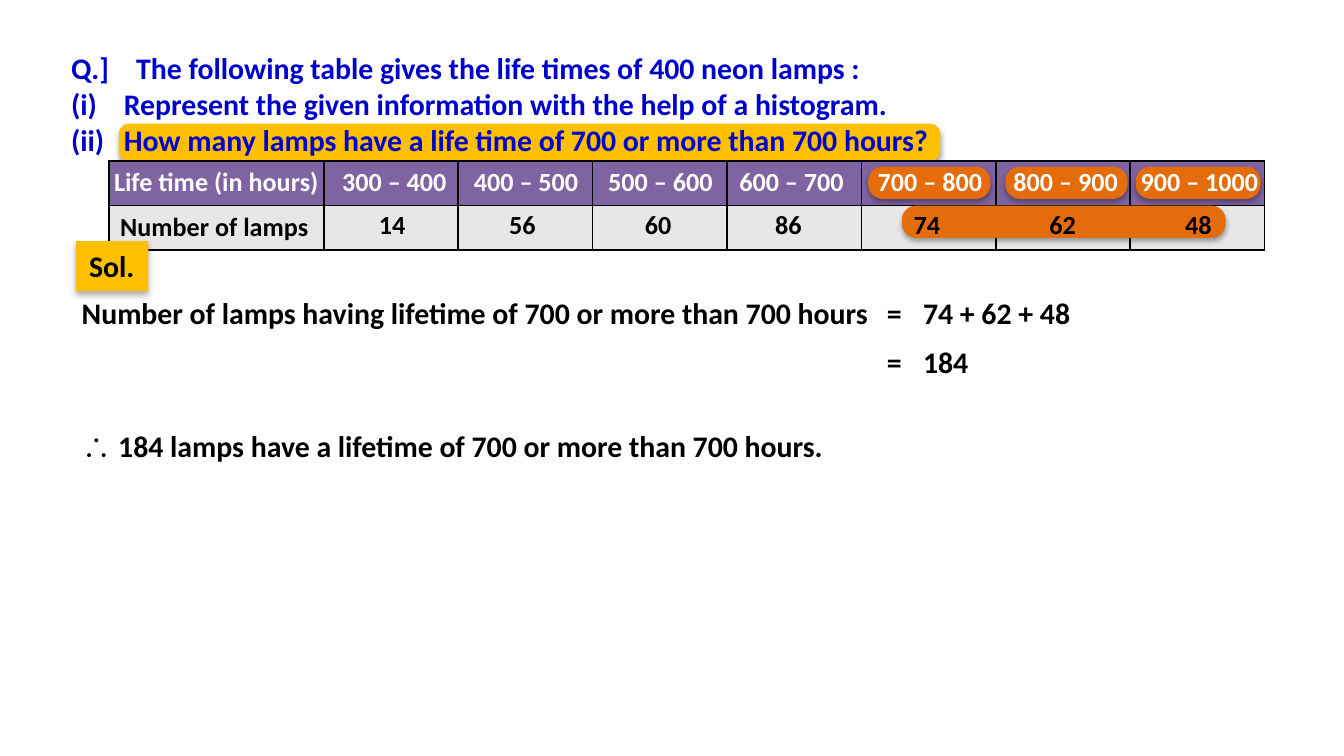
from lxml.etree import SubElement
from pptx import Presentation
from pptx.dml.color import RGBColor
from pptx.enum.shapes import MSO_SHAPE
from pptx.enum.text import MSO_AUTO_SIZE, PP_ALIGN
from pptx.oxml.ns import qn
from pptx.util import Inches, Pt

CELL = Inches(0.1)
WIDE, HIGH = 100, 56.25
BLACK, WHITE, BLUE = "000000", "FFFFFF", "0000CC"
GOLD, ORANGE, PURPLE, GREY = "FFC000", "E46C0A", "8064A2", "E7E7E7"

CLASSES = [
    ("300 – 400", 23.8, 11.1),
    ("400 – 500", 34.1, 10.1),
    ("500 – 600", 44.1, 10.1),
    ("600 – 700", 53.8, 10.2),
    ("700 – 800", 64, 10.4),
    ("800 – 900", 74.1, 10.4),
    ("900 – 1000", 83.5, 11.5),
]
COUNTS = [("14", 27.2), ("56", 36.9), ("60", 47), ("86", 56.7),
          ("74", 67), ("62", 77.1), ("48", 87.2)]
PILLS = [(64.6, 12.4, 9.1, 2.4), (74.8, 12.4, 9.1, 2.4),
         (84.5, 12.4, 9.3, 2.4), (67.1, 15.3, 24.1, 2.4)]
QUESTION = [
    ("Q.]\tThe following table gives the life times of 400 neon lamps :", 4.85),
    ("(i)\tRepresent the given information with the help of a histogram.", 3.93),
    ("(ii)\tHow many lamps have a life time of 700 or more than 700 hours?", 3.93),
]
STEPS = [
    ("Number of lamps having lifetime of 700 or more than 700 hours", 5.1, 21.4, 61.3),
    ("=", 65, 21.4, 3.3),
    ("74 + 62 + 48", 67.7, 21.4, 14.6),
    ("=", 65, 25.1, 3.3),
    ("184", 67.7, 25.1, 6),
]


def grid(*cells):
    """Turn grid cells into slide lengths."""
    return [round(n * CELL) for n in cells]


def paint(fill, tint):
    """Give a fill one solid colour from a hex string."""
    fill.solid()
    fill.fore_color.rgb = RGBColor.from_string(tint)


def style(run, size, tint, face="Calibri"):
    """Set the font of a run."""
    run.font.name, run.font.size, run.font.bold = face, Pt(size), True
    run.font.color.rgb = RGBColor.from_string(tint)


def label(slide, text, at, size=14, tint=BLACK, align=PP_ALIGN.LEFT):
    """Add a wrapped text box and return its frame."""
    frame = slide.shapes.add_textbox(*grid(*at)).text_frame
    frame.word_wrap = True
    frame.auto_size = MSO_AUTO_SIZE.SHAPE_TO_FIT_TEXT
    frame.text = text
    for par in frame.paragraphs:
        par.alignment = align
        for run in par.runs:
            style(run, size, tint)
    return frame


def block(slide, kind, at, tint, round_by=None, glow=(35, 3.1, 1.8)):
    """Add a filled shape with a shadow straight below it."""
    shape = slide.shapes.add_shape(kind, *grid(*at))
    if round_by is not None:
        shape.adjustments[0] = round_by
    paint(shape.fill, tint)
    shape.line.fill.background()
    shape.shadow.inherit = False
    alpha, blur, dist = glow
    cast = SubElement(
        shape.element.spPr.find(qn("a:effectLst")), qn("a:outerShdw"),
        blurRad=str(Pt(blur)), dist=str(Pt(dist)), dir="5400000", rotWithShape="0")
    color = SubElement(cast, qn("a:srgbClr"), val=BLACK)
    SubElement(color, qn("a:alpha"), val=str(alpha * 1000))
    return shape


def border(cell):
    """Draw thin black lines around a table cell."""
    props = cell._tc.get_or_add_tcPr()
    for spot, side in enumerate(("lnL", "lnR", "lnT", "lnB")):
        line = SubElement(props, qn("a:" + side), w=str(Pt(1)))
        props.insert(spot, line)
        fill = SubElement(line, qn("a:solidFill"))
        SubElement(fill, qn("a:srgbClr"), val=BLACK)


def table(slide):
    """Add the ruled grid behind the classes and counts."""
    board = slide.shapes.add_table(2, 8, *grid(8.1, 12, 86, 6.6)).table
    board.first_row = board.horz_banding = False
    for spot, col in enumerate(board.columns):
        col.width = grid(10 if spot else 16)[0]
    for row, tint in zip(board.rows, (PURPLE, GREY)):
        row.height = grid(3.3)[0]
        for cell in row.cells:
            cell.margin_top = cell.margin_bottom = 0
            paint(cell.fill, tint)
            border(cell)


def question(slide):
    """Add the question with its marked last line."""
    block(slide, MSO_SHAPE.ROUNDED_RECTANGLE, (8.85, 9.2, 61.1, 2.8), GOLD, 0.26)
    text = "\n".join(line for line, stop in QUESTION)
    frame = label(slide, text, (4.3, 3.2, 74.1, 9.1), 16, BLUE)
    for par, (line, stop) in zip(frame.paragraphs, QUESTION):
        tabs = SubElement(par._p.get_or_add_pPr(), qn("a:tabLst"))
        SubElement(tabs, qn("a:tab"), pos=str(grid(stop)[0]), algn="l")


def data(slide):
    """Add the table, its marks and its texts."""
    table(slide)
    for at in PILLS:
        block(slide, MSO_SHAPE.ROUNDED_RECTANGLE, at, ORANGE, 0.45)
    label(slide, "Life time (in hours)", (7.5, 11.8, 17.2, 3.4), tint=WHITE)
    label(slide, "Number of lamps", (7.8, 15.2, 16.3, 3.4), align=PP_ALIGN.CENTER)
    for text, left, width in CLASSES:
        label(slide, text, (left, 11.8, width, 3.4), tint=WHITE, align=PP_ALIGN.CENTER)
    for text, left in COUNTS:
        label(slide, text, (left, 15, 4.4, 3.4))


def answer(slide):
    """Add the solution tag, the steps and the closing line."""
    tag = block(slide, MSO_SHAPE.RECTANGLE, (5.65, 17.95, 5.4, 3.7), GOLD, glow=(32, 3.5, 2.2))
    frame = tag.text_frame
    frame.word_wrap = False
    frame.auto_size = MSO_AUTO_SIZE.SHAPE_TO_FIT_TEXT
    frame.text = "Sol."
    frame.paragraphs[0].alignment = PP_ALIGN.LEFT
    style(frame.paragraphs[0].runs[0], 16, BLACK)
    for text, left, top, width in STEPS:
        label(slide, text, (left, top, width, 3.7), 16)
    par = label(slide, "∴", (5.1, 31.3, 61.3, 3.7), 16).paragraphs[0]
    style(par.runs[0], 16, BLACK, "Arial")
    run = par.add_run()
    run.text = " 184 lamps have a lifetime of 700 or more than 700 hours."
    style(run, 16, BLACK)


def main():
    """Build the slide and save it."""
    deck = Presentation()
    deck.slide_width, deck.slide_height = grid(WIDE, HIGH)
    slide = deck.slides.add_slide(deck.slide_layouts[6])
    question(slide)
    data(slide)
    answer(slide)
    deck.save("out.pptx")


if __name__ == "__main__":
    main()
